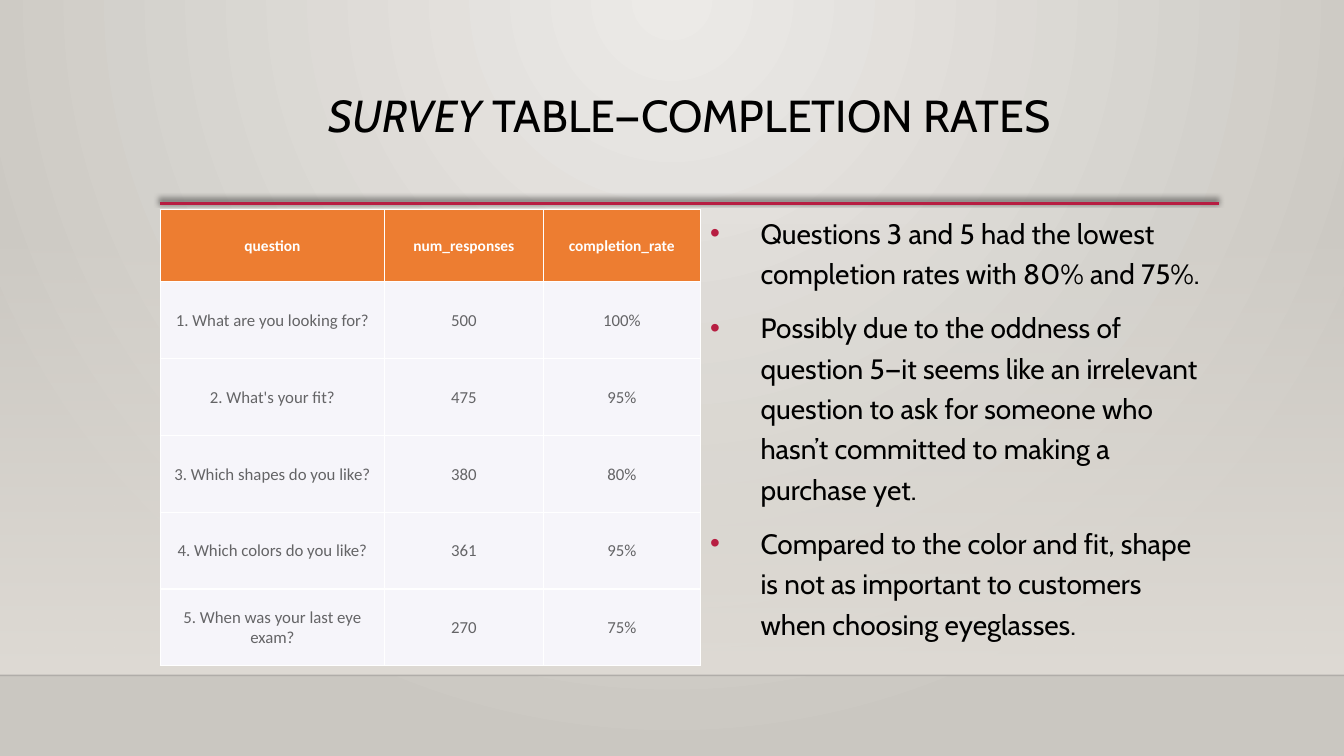
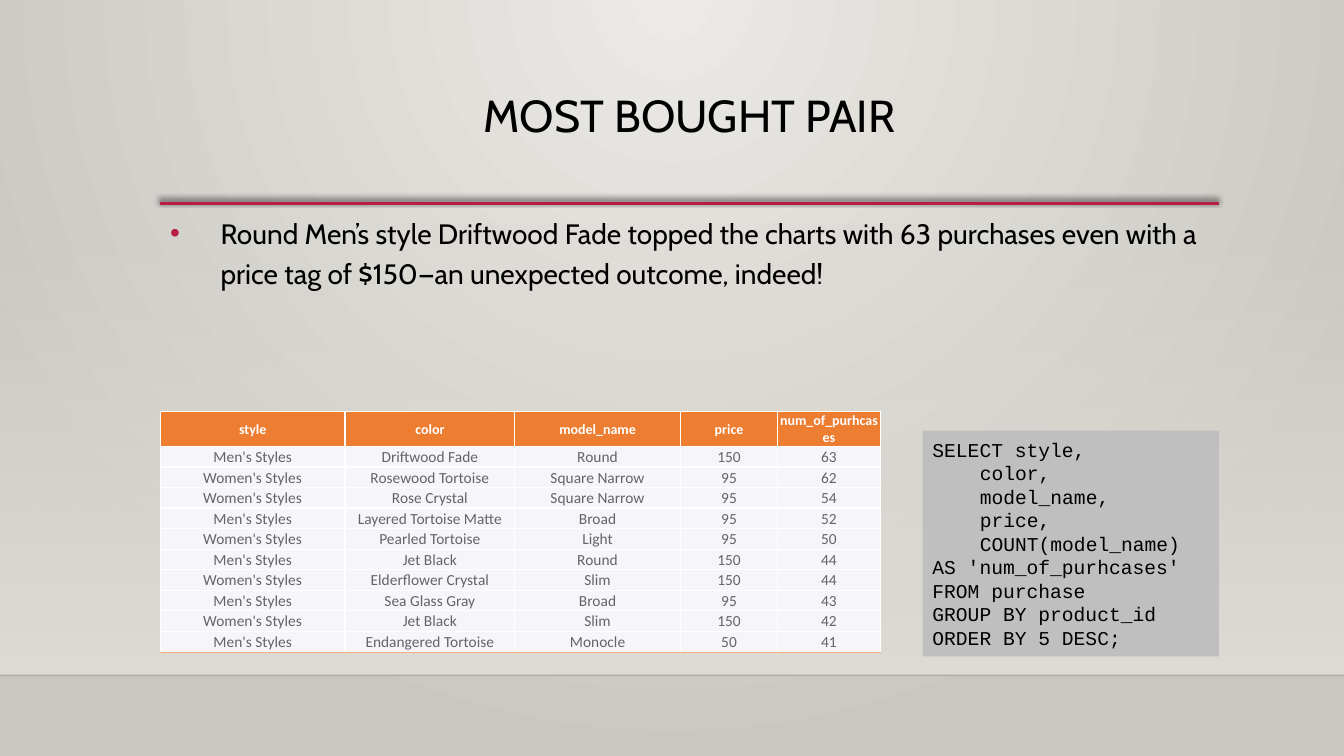
from lxml import etree
from pptx import Presentation
from pptx.dml.color import RGBColor
from pptx.enum.shapes import MSO_CONNECTOR, MSO_SHAPE
from pptx.enum.text import MSO_ANCHOR, PP_ALIGN
from pptx.oxml import parse_xml
from pptx.oxml.ns import nsdecls, qn
from pptx.util import Inches, Pt

RECT = MSO_SHAPE.RECTANGLE
LINE = MSO_CONNECTOR.STRAIGHT
MID = MSO_ANCHOR.MIDDLE
LEFT, CENTER = PP_ALIGN.LEFT, PP_ALIGN.CENTER

# Shared look
BLACK, WHITE, RED = "000000", "FFFFFF", "B71E42"
ORANGE, PALE, GRAY, PEACH = "ED7D31", "F6F5FA", "646466", "F4B084"
SAND, SILVER = "DFDBD5", "BFBFBF"
SANS, GRID, MONO = "Cabin", "Calibri", "Courier New"

# Regions in inches: left, top, width, height
PAGE = (0, 0, 13.33, 7.5)
BAND = (0, 2.21, 13.33, 4.49)
HEAD = (1.59, 0.88, 10.5, 1.15)
BODY = (1.59, 2.03, 10.5, 4.67)


def color(code):
    return RGBColor.from_string(code)


def part(box, x, y, w, h):
    """Return the region that takes the given shares of a box."""
    left, top, wide, high = box
    return left + x * wide, top + y * high, w * wide, h * high


def inch(box):
    return [Inches(n) for n in box]


def write(frame, paras, size=20, font=SANS, ink=BLACK, bold=False,
          align=LEFT, lead=None, before=None, bullet=None):
    """Fill a frame; a paragraph is a string or a list of (text, italic)."""
    frame.word_wrap = True
    for i, runs in enumerate(paras):
        para = frame.paragraphs[0] if i == 0 else frame.add_paragraph()
        para.alignment = align
        if lead:
            para.line_spacing = lead
        if before:
            para.space_before = Pt(before)
        if bullet:
            mark(para, bullet)
        for words, slant in [(runs, False)] if isinstance(runs, str) else runs:
            run = para.add_run()
            run.text = words
            run.font.size = Pt(size)
            run.font.name = font
            run.font.bold = bold
            run.font.italic = slant
            run.font.color.rgb = color(ink)


def mark(para, ink):
    """Give a paragraph a hanging bullet."""
    props = para._p.get_or_add_pPr()
    indent(para, 0.5, -0.5)
    tint = etree.SubElement(props, qn("a:buClr"))
    etree.SubElement(tint, qn("a:srgbClr"), val=ink)
    etree.SubElement(props, qn("a:buFont"), typeface="Arial")
    etree.SubElement(props, qn("a:buChar"), char="•")


def indent(para, left, first):
    props = para._p.get_or_add_pPr()
    props.set("marL", str(Inches(left)))
    props.set("indent", str(Inches(first)))


def blend(item, start, end, shade, alpha=100):
    """Replace the gradient of an element by a two-colour one."""
    old = item.find(".//" + qn("a:gradFill"))
    new = parse_xml(
        f'<a:gradFill {nsdecls("a")} rotWithShape="1"><a:gsLst>'
        f'<a:gs pos="0"><a:srgbClr val="{start}">'
        f'<a:alpha val="{alpha * 1000}"/></a:srgbClr></a:gs>'
        f'<a:gs pos="100000"><a:srgbClr val="{end}"/></a:gs>'
        f'</a:gsLst>{shade}</a:gradFill>')
    old.getparent().replace(old, new)


def rule(slide, x, y, w, ink, width, alpha=100, effect=""):
    """Draw a level line."""
    line = slide.shapes.add_connector(LINE, *inch((x, y, x + w, y)))
    line.line.color.rgb = color(ink)
    line.line.width = Pt(width)
    props = line.element.spPr
    tint = props.find(".//" + qn("a:srgbClr"))
    etree.SubElement(tint, qn("a:alpha"), val=str(alpha * 1000))
    props.append(parse_xml(
        f'<a:effectLst {nsdecls("a")}>{effect}</a:effectLst>'))


def panel(slide, box):
    """Add a plain rectangle without line or shadow."""
    shape = slide.shapes.add_shape(RECT, *inch(box))
    shape.shadow.inherit = False
    shape.line.fill.background()
    return shape


def label(slide, box, paras, **style):
    frame = slide.shapes.add_textbox(*inch(box)).text_frame
    write(frame, paras, **style)


def base(deck, title):
    """Start a slide with backdrop, band, lines and title."""
    slide = deck.slides.add_slide(deck.slide_layouts[6])
    # Backdrop
    slide.background.fill.gradient()
    blend(slide.element, "ECEAE7", "CAC7C1",
          '<a:path path="circle"><a:fillToRect l="43000" t="0" '
          'r="43000" b="100000"/></a:path>')
    # Wall that fades in towards the floor
    wall = panel(slide, BAND)
    wall.fill.gradient()
    blend(wall.element, SAND, SAND, '<a:lin ang="5400000" scaled="0"/>', 0)
    x, y, w, h = BAND
    rule(slide, x, y + h, w, "000001", 1, alpha=20)
    # Title and its underline
    x, y, w, h = HEAD
    rule(slide, x, 2.02, w, RED, 2.5, effect=(
        f'<a:outerShdw blurRad="{Pt(4)}" dist="{Pt(3)}" dir="14700000" '
        f'rotWithShape="0"><a:srgbClr val="{BLACK}">'
        '<a:alpha val="60000"/></a:srgbClr></a:outerShdw>'))
    label(slide, HEAD, [title], size=32, align=CENTER, lead=0.9)
    return slide


def points(slide, box, lines):
    label(slide, box, lines, lead=1.2, before=10, bullet=RED)


def edge(cell, foot):
    """Draw the four borders of a cell."""
    props = cell._tc.get_or_add_tcPr()
    for side in "LRTB":
        ink, width = foot if side == "B" else (WHITE, 1)
        props.append(parse_xml(
            f'<a:ln{side} {nsdecls("a")} w="{Pt(width)}"><a:solidFill>'
            f'<a:srgbClr val="{ink}"/></a:solidFill></a:ln{side}>'))


def table(slide, box, rows, cols, head, size, foot=(WHITE, 1)):
    """Add a table; cols are relative widths, head is the top row's height."""
    x, y, w, h = box
    grid = slide.shapes.add_table(len(rows), len(cols), *inch(box)).table
    grid.horz_banding = False
    for col, share in zip(grid.columns, cols):
        col.width = Inches(w * share / sum(cols))
    for r, row in enumerate(rows):
        top, last = r == 0, r == len(rows) - 1
        grid.rows[r].height = Inches(
            head if top else (h - head) / (len(rows) - 1))
        for c, words in enumerate(row):
            cell = grid.cell(r, c)
            edge(cell, foot if last else (WHITE, 1))
            cell.fill.solid()
            cell.fill.fore_color.rgb = color(ORANGE if top else PALE)
            cell.vertical_anchor = MID
            cell.margin_left = cell.margin_right = Inches(0.01)
            cell.margin_top, cell.margin_bottom = Inches(0.01), 0
            write(cell.text_frame, [words], size=size - 1 if top else size,
                  font=GRID, ink=WHITE if top else GRAY, bold=top,
                  align=CENTER)


def query(slide, box, lines, inset):
    """Add a code panel; the lines numbered in inset are indented."""
    shape = panel(slide, box)
    shape.fill.solid()
    shape.fill.fore_color.rgb = color(SILVER)
    frame = shape.text_frame
    frame.vertical_anchor = MID
    write(frame, lines, size=14, font=MONO)
    for i in inset:
        indent(frame.paragraphs[i], 0, 0.47)


def survey(deck):
    slide = base(deck, [("SURVEY ", True), ("TABLE—COMPLETION RATES", False)])
    rows = [
        ("question", "num_responses", "completion_rate"),
        ("1. What are you looking for?", "500", "100%"),
        ("2. What's your fit?", "475", "95%"),
        ("3. Which shapes do you like?", "380", "80%"),
        ("4. Which colors do you like?", "361", "95%"),
        ("5. When was your last eye exam?", "270", "75%"),
    ]
    table(slide, part(BODY, 0, 0.01, 0.51, 0.97), rows,
          (2.23, 1.58, 1.56), head=0.72, size=12)
    points(slide, part(BODY, 0.51, 0, 0.49, 0.94), [
        "Questions 3 and 5 had the lowest completion rates with 80% and 75%.",
        "Possibly due to the oddness of question 5—it seems like an "
        "irrelevant question to ask for someone who hasn’t committed to "
        "making a purchase yet.",
        "Compared to the color and fit, shape is not as important to "
        "customers when choosing eyeglasses.",
    ])


def sales(deck):
    slide = base(deck, "MOST BOUGHT PAIR")
    men, women = "Men's Styles", "Women's Styles"
    rows = [
        ("style", "color", "model_name", "price", "num_of_purhcases"),
        (men, "Driftwood Fade", "Round", "150", "63"),
        (women, "Rosewood Tortoise", "Square Narrow", "95", "62"),
        (women, "Rose Crystal", "Square Narrow", "95", "54"),
        (men, "Layered Tortoise Matte", "Broad", "95", "52"),
        (women, "Pearled Tortoise", "Light", "95", "50"),
        (men, "Jet Black", "Round", "150", "44"),
        (women, "Elderflower Crystal", "Slim", "150", "44"),
        (men, "Sea Glass Gray", "Broad", "95", "43"),
        (women, "Jet Black", "Slim", "150", "42"),
        (men, "Endangered Tortoise", "Monocle", "50", "41"),
    ]
    query(slide, part(BODY, 0.72, 0.48, 0.28, 0.48), [
        "SELECT style,", "color,", "model_name,", "price,",
        "COUNT(model_name) AS 'num_of_purhcases'",
        "FROM purchase", "GROUP BY product_id", "ORDER BY 5 DESC;",
    ], inset=range(1, 5))
    points(slide, part(BODY, 0, 0, 1, 0.19), [
        "Round Men’s style Driftwood Fade topped the charts with 63 "
        "purchases even with a price tag of $150—an unexpected outcome, "
        "indeed!",
    ])
    table(slide, part(BODY, 0, 0.44, 0.68, 0.51), rows,
          (1.84, 1.69, 1.65, 0.97, 1.02), head=0.34, size=11,
          foot=(PEACH, 0.5))


def main():
    deck = Presentation()
    deck.slide_width, deck.slide_height = inch(PAGE[2:])
    survey(deck)
    sales(deck)
    deck.save("out.pptx")


if __name__ == "__main__":
    main()
